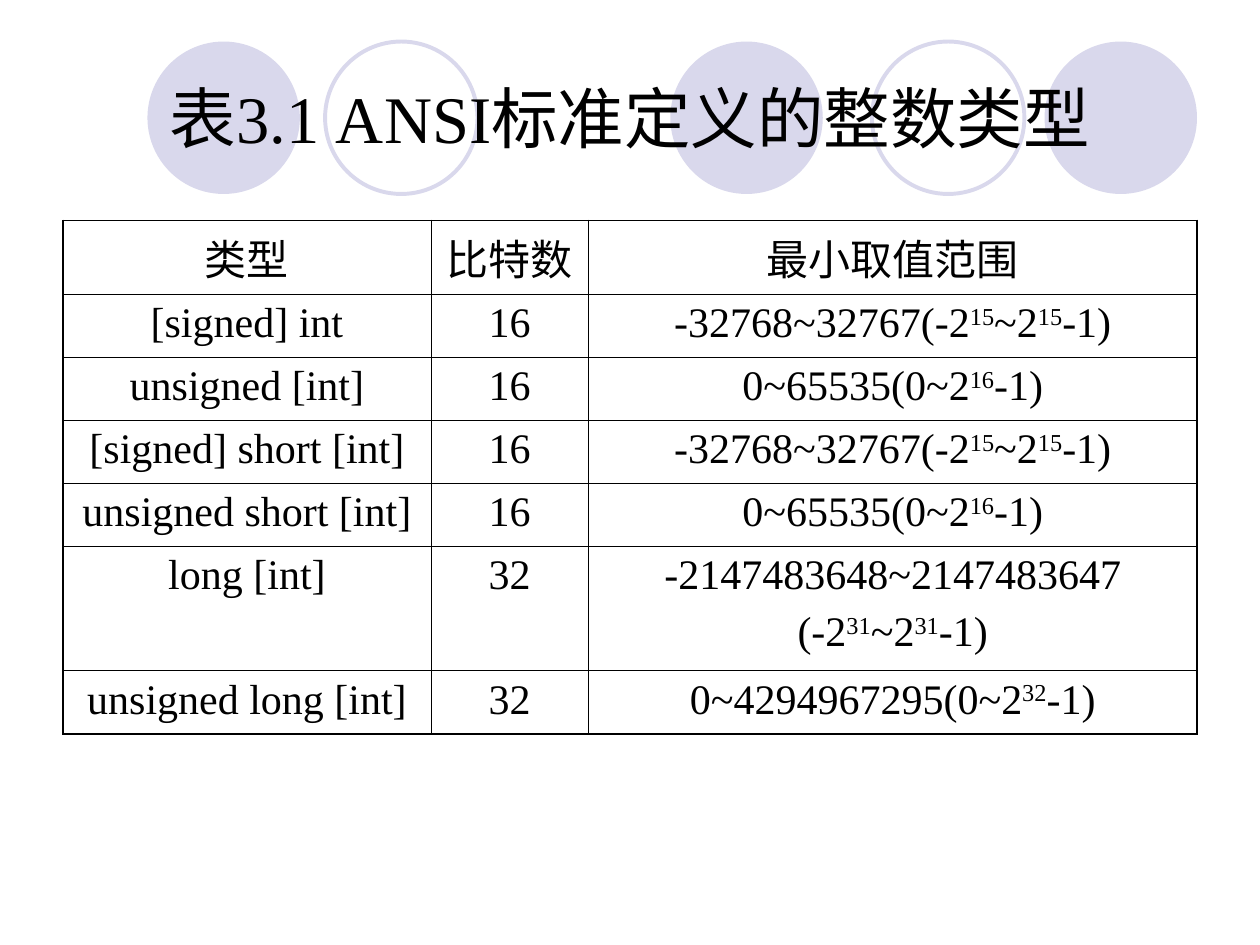
from lxml.etree import SubElement
from pptx import Presentation
from pptx.dml.color import RGBColor
from pptx.enum.shapes import MSO_SHAPE as SHAPE
from pptx.enum.text import MSO_ANCHOR as ANCHOR, PP_ALIGN as ALIGN
from pptx.oxml.ns import qn
from pptx.util import Inches, Pt

FONT = "Times New Roman"
INK, LILAC, PAPER = "000000", "D9D8EC", "FFFFFF"
THIN, THICK = 0.45, 1.08
CIRCLES = [(5.32, True), (8.29, True), (1.17, True), (6.92, False), (2.58, False)]
COLS = [2.92, 1.25, 4.83]
HEADER_HEIGHT, ROW_HEIGHT, TALL_HEIGHT = 0.58, 0.5, 0.99
SHORT_RANGE = "-32768~32767(-2^15^~2^15^-1)"
USHORT_RANGE = "0~65535(0~2^16^-1)"
ROWS = [
    ("类型", "比特数", "最小取值范围"),
    ("[signed] int", "16", SHORT_RANGE),
    ("unsigned [int]", "16", USHORT_RANGE),
    ("[signed] short [int]", "16", SHORT_RANGE),
    ("unsigned short [int]", "16", USHORT_RANGE),
    ("long [int]", "32", "-2147483648~2147483647\n(-2^31^~2^31^-1)"),
    ("unsigned long [int]", "32", "0~4294967295(0~2^32^-1)"),
]


def rgb(value):
    return RGBColor.from_string(value)


def style_run(r, size):
    r.font.name, r.font.size = FONT, Pt(size)
    r.font.color.rgb = rgb(INK)


def add_circles(slide, top, size):
    for left, filled in CIRCLES:
        sp = slide.shapes.add_shape(
            SHAPE.OVAL, Inches(left), Inches(top), Inches(size), Inches(size))
        sp.shadow.inherit = False
        if filled:
            sp.fill.solid()
            sp.fill.fore_color.rgb = rgb(LILAC)
            sp.line.fill.background()
        else:
            sp.fill.background()
            sp.line.color.rgb = rgb(LILAC)
            sp.line.width = Pt(2.25)


def add_title(slide, text, left, top, width, height):
    sp = slide.shapes.title
    sp.left, sp.top, sp.width, sp.height = map(Inches, (left, top, width, height))
    slide.shapes._spTree.append(sp._element)
    tf = sp.text_frame
    tf.text = text
    tf.word_wrap = True
    tf.vertical_anchor = ANCHOR.MIDDLE
    p = tf.paragraphs[0]
    p.alignment = ALIGN.CENTER
    style_run(p.runs[0], 38)


def set_borders(cell, widths):
    tc_pr = cell._tc.get_or_add_tcPr()
    for i, (side, width) in enumerate(zip("LRTB", widths)):
        ln = tc_pr.makeelement(qn(f"a:ln{side}"), {"w": str(Pt(width))})
        fill = SubElement(ln, qn("a:solidFill"))
        SubElement(fill, qn("a:srgbClr")).set("val", INK)
        tc_pr.insert(i, ln)


def fill_cell(cell, text):
    cell.fill.background()
    cell.vertical_anchor = ANCHOR.TOP
    tf = cell.text_frame
    for i, line in enumerate(text.split("\n")):
        p = tf.add_paragraph() if i else tf.paragraphs[0]
        p.alignment = ALIGN.CENTER
        if i:
            p.space_before = Pt(6)
        for j, part in enumerate(line.split("^")):
            r = p.add_run()
            r.text = part
            style_run(r, 24)
            if j % 2:
                r.font._element.set("baseline", "30000")


def add_type_table(slide, left, top):
    n_rows, n_cols = len(ROWS), len(COLS)
    heights = [HEADER_HEIGHT] + [
        TALL_HEIGHT if "\n" in row[-1] else ROW_HEIGHT for row in ROWS[1:]]
    table = slide.shapes.add_table(
        n_rows, n_cols, Inches(left), Inches(top),
        Inches(sum(COLS)), Inches(sum(heights))).table
    table.first_row = table.horz_banding = False
    for col, width in zip(table.columns, COLS):
        col.width = Inches(width)
    for row, height in zip(table.rows, heights):
        row.height = Inches(height)
    for y, row in enumerate(ROWS):
        for x, text in enumerate(row):
            cell = table.cell(y, x)
            fill_cell(cell, text)
            outer = (x == 0, x == n_cols - 1, y == 0, y == n_rows - 1)
            set_borders(cell, [THICK if edge else THIN for edge in outer])


def main():
    prs = Presentation()
    prs.slide_width, prs.slide_height = Inches(10), Inches(7.5)
    slide = prs.slides.add_slide(prs.slide_layouts[5])
    slide.background.fill.solid()
    slide.background.fill.fore_color.rgb = rgb(PAPER)
    add_circles(slide, 0.33, 1.21)
    add_title(slide, "表3.1 ANSI标准定义的整数类型", 0.5, 0.3, 9, 1.25)
    add_type_table(slide, 0.5, 1.75)
    prs.save("out.pptx")


if __name__ == "__main__":
    main()
